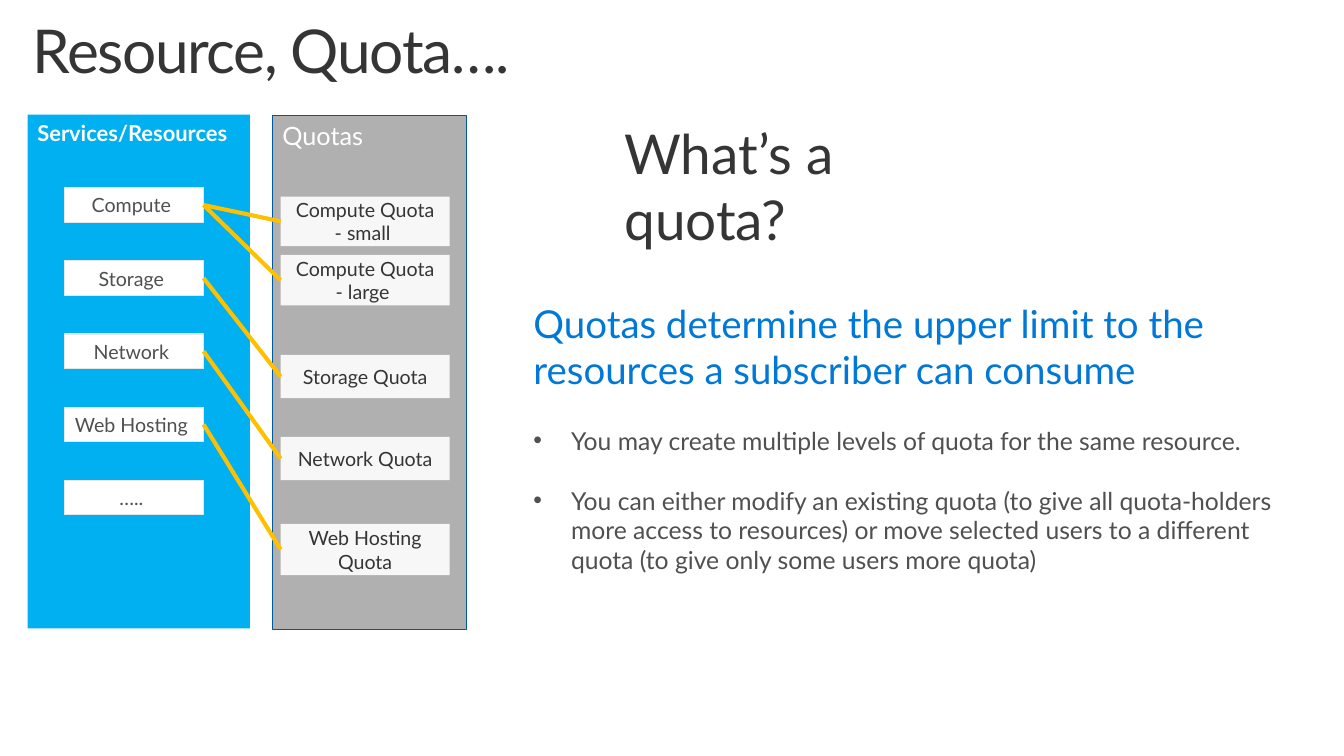
import pptx
import pptx.dml.color
import pptx.enum.shapes
import pptx.enum.text
import pptx.oxml
import pptx.oxml.ns
import pptx.util
from pptx.util import Inches

ALIGN = pptx.enum.text.PP_ALIGN
ANCHOR = pptx.enum.text.MSO_ANCHOR
AUTO_SIZE = pptx.enum.text.MSO_AUTO_SIZE
FONT = "Lato"
WHITE, DARK, GREY = "FFFFFF", "353535", "505050"

# Service and the top, height and label of each of its quotas
SERVICES = [
    ("Compute ", [(1.99, 0.5, "Compute Quota - small "),
                  (2.58, 0.51, "Compute Quota - large ")]),
    ("Storage ", [(3.59, 0.44, "Storage Quota")]),
    ("Network ", [(4.42, 0.44, "Network Quota")]),
    ("Web Hosting ", [(5.3, 0.52, "Web Hosting Quota")]),
    ("….. ", []),
]
BULLETS = [
    "You may create multiple levels of quota for the same resource.",
    "You can either modify an existing quota (to give all quota-holders more "
    "access to resources) or move selected users to a different quota "
    "(to give only some users more quota)",
]


def color(value):
    return pptx.dml.color.RGBColor.from_string(value)


def apply_format(target, values):
    for name, value in values.items():
        setattr(target, name, value)


def write(paragraph, text, size, text_color, bold=False, **paragraph_format):
    run = paragraph.add_run()
    run.text = text
    apply_format(run.font, {"name": FONT, "size": pptx.util.Pt(size), "bold": bold})
    run.font.color.rgb = color(text_color)
    apply_format(paragraph, {"alignment": ALIGN.LEFT, **paragraph_format})
    return run


def add_box(slide, position, fill, line=None, anchor=ANCHOR.MIDDLE):
    shape = slide.shapes.add_shape(pptx.enum.shapes.MSO_SHAPE.RECTANGLE,
                                   *map(Inches, position))
    shape.shadow.inherit = False
    shape.fill.solid()
    shape.fill.fore_color.rgb = color(fill)
    if line:
        shape.line.color.rgb = color(line)
        shape.line.width = pptx.util.Pt(0.85)
    else:
        shape.line.fill.background()
    apply_format(shape.text_frame, {"word_wrap": True, "vertical_anchor": anchor})
    return shape


def add_panel(slide, position, fill, heading, size, bold=False, line=None):
    panel = add_box(slide, position, fill, line, ANCHOR.TOP)
    write(panel.text_frame.paragraphs[0], heading, size, WHITE, bold)


def add_label(slide, position, fill, text, text_color, line=None):
    label = add_box(slide, position, fill, line)
    write(label.text_frame.paragraphs[0], text, 14.3, text_color,
          alignment=ALIGN.CENTER)
    return label


def add_link(slide, service, quota):
    link = slide.shapes.add_connector(pptx.enum.shapes.MSO_CONNECTOR.STRAIGHT,
                                      0, 0, 0, 0)
    link.begin_connect(service, 3)
    link.end_connect(quota, 1)
    link.line.color.rgb = color("FFC000")
    link.line.width = pptx.util.Pt(3)
    properties = link._element.spPr
    properties.append(pptx.oxml.parse_xml(
        f"<a:effectLst {pptx.oxml.ns.nsdecls('a')}/>"))


def add_text(slide, position, **frame_format):
    frame = slide.shapes.add_textbox(*map(Inches, position)).text_frame
    apply_format(frame, {"word_wrap": True, **frame_format})
    return frame


def add_bullet(frame, text, gap):
    paragraph = frame.add_paragraph()
    write(paragraph, text, 18, GREY, space_before=pptx.util.Pt(gap))
    properties = paragraph._p.get_or_add_pPr()
    properties.set("marL", str(Inches(0.38)))
    properties.set("indent", str(Inches(-0.38)))
    namespace = pptx.oxml.ns.nsdecls("a")
    properties.append(pptx.oxml.parse_xml(
        f'<a:buFont {namespace} typeface="Arial"/>'))
    properties.append(pptx.oxml.parse_xml(f'<a:buChar {namespace} char="•"/>'))


def format_title(title):
    apply_format(title, {"left": Inches(0.17), "top": Inches(0.12),
                         "width": Inches(6.05), "height": Inches(0.8)})
    apply_format(title.text_frame, {
        "margin_left": Inches(0.16), "margin_right": Inches(0.16),
        "margin_top": Inches(0.1), "margin_bottom": Inches(0.1),
        "vertical_anchor": ANCHOR.TOP, "auto_size": AUTO_SIZE.NONE,
        "word_wrap": True})
    run = write(title.text_frame.paragraphs[0], "Resource, Quota….", 44, DARK,
                line_spacing=0.9)
    run.font._element.set("spc", "-100")


def add_diagram(slide):
    # Background panels
    add_panel(slide, (2.76, 1.17, 1.96, 5.2), "B0B0B0", "Quotas", 18.4,
              line="00599F")
    add_panel(slide, (0.28, 1.16, 2.25, 5.2), "00B0F0", "Services/Resources",
              16, bold=True)

    # Services, their quotas and the links between them
    pairs = []
    for row, (name, quotas) in enumerate(SERVICES):
        service = add_label(slide, (0.65, 1.9 + 0.74 * row, 1.41, 0.35), WHITE,
                            name, GREY, "E6E6E6")
        for top, height, text in quotas:
            quota = add_label(slide, (2.84, top, 1.71, height), "F7F7F7",
                              text, DARK)
            pairs.append((service, quota))
    for service, quota in pairs:
        add_link(slide, service, quota)


def add_explanation(slide):
    # The wide right margin breaks the question after "a"
    question = add_text(slide, (6.22, 1.16, 4.05, 1.43),
                        margin_right=Inches(0.6))
    write(question.paragraphs[0], "What’s a quota?", 40, DARK)

    answer = add_text(slide, (5.3, 2.99, 7.88, 3.23))
    write(answer.paragraphs[0], "Quotas determine the upper limit to the "
          "resources a subscriber can consume", 28, "0078D7")
    for text, gap in zip(BULLETS, (24, 22)):
        add_bullet(answer, text, gap)


def main():
    presentation = pptx.Presentation()
    presentation.slide_width = Inches(13.6)
    presentation.slide_height = Inches(7.65)
    slide = presentation.slides.add_slide(presentation.slide_layouts[5])
    format_title(slide.shapes.title)
    add_diagram(slide)
    add_explanation(slide)
    presentation.save("out.pptx")


if __name__ == "__main__":
    main()
